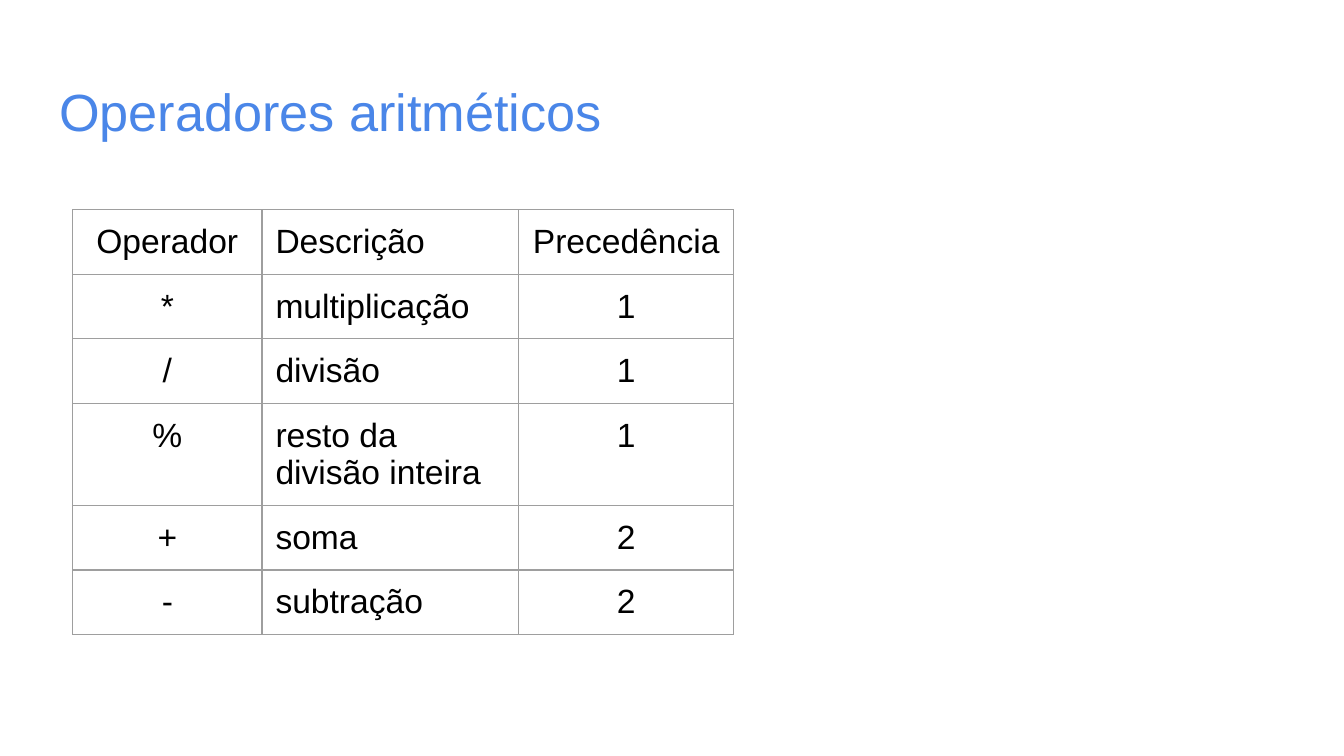
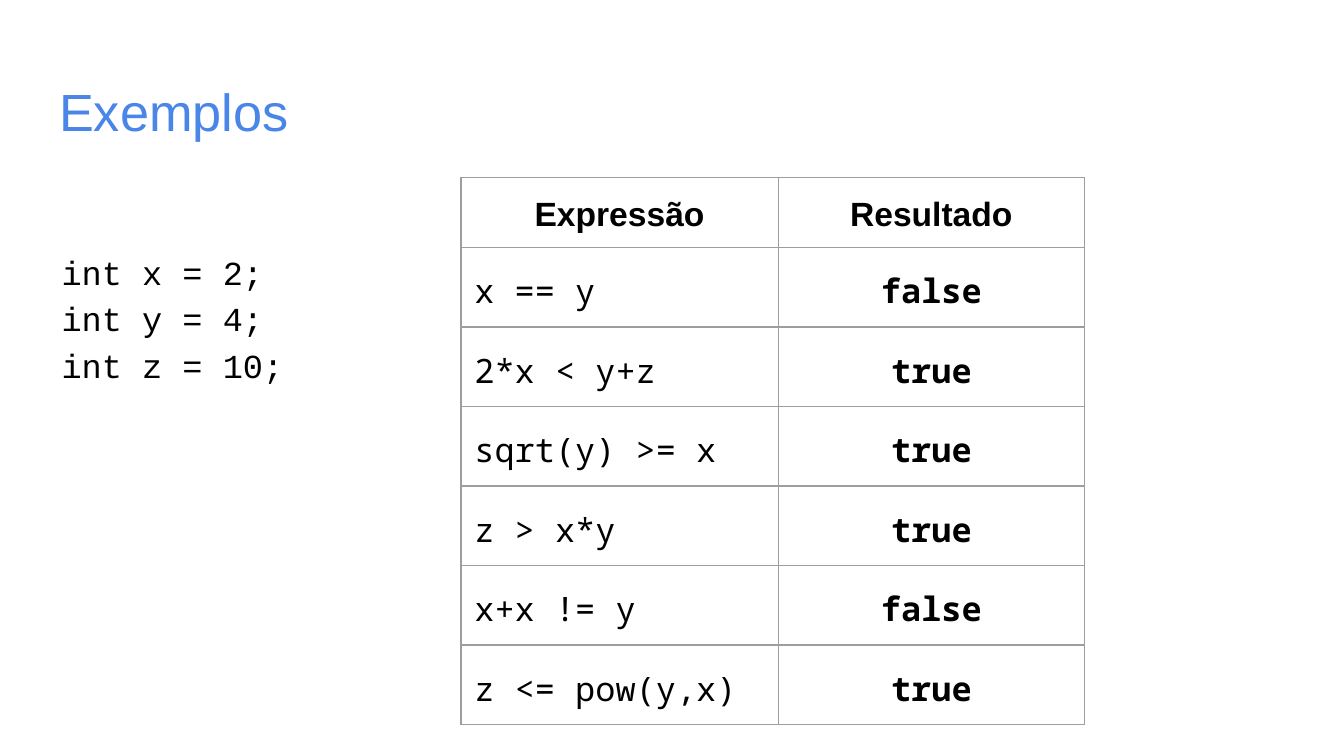
from lxml import etree
from pptx import Presentation
from pptx.dml.color import RGBColor
from pptx.enum.text import MSO_ANCHOR, MSO_AUTO_SIZE, PP_ALIGN
from pptx.oxml.ns import qn
from pptx.util import Inches, Pt

# Shared style; the grid unit is a tenth of an inch
UNIT = Inches(0.1)
COLS, ROWS = 100, 56.25
BLUE, BLACK, GREY = "4A86E8", "000000", "9E9E9E"
SANS, CODE, MONO = "Arial", "Courier New", "Noto Sans Mono"
LEFT, CENTER = PP_ALIGN.LEFT, PP_ALIGN.CENTER


def grid(*units):
    return [round(u * UNIT) for u in units]


def color(hex_text):
    return RGBColor.from_string(hex_text)


def write(p, text, font=SANS, size=18, fill=BLACK, bold=False, align=LEFT, spacing=1.0):
    p.alignment, p.line_spacing = align, spacing
    r = p.add_run()
    r.text = text
    r.font.name, r.font.size, r.font.bold = font, Pt(size), bold
    r.font.color.rgb = color(fill)


def set_borders(cell):
    tcPr = cell._tc.get_or_add_tcPr()
    for i, side in enumerate(("lnL", "lnR", "lnT", "lnB")):
        ln = etree.Element(qn("a:" + side), w=str(Pt(0.75)))
        fill = etree.SubElement(ln, qn("a:solidFill"))
        etree.SubElement(fill, qn("a:srgbClr"), val=GREY)
        tcPr.insert(i, ln)


class Deck:
    def __init__(self):
        self.prs = Presentation()
        self.prs.slide_width, self.prs.slide_height = grid(COLS, ROWS)
        self.s = None

    def frame(self, tf):
        tf.word_wrap = True
        tf.auto_size = MSO_AUTO_SIZE.NONE
        tf.vertical_anchor = MSO_ANCHOR.TOP
        tf.margin_left = tf.margin_right = tf.margin_top = tf.margin_bottom = UNIT
        return tf

    def slide(self, title):
        self.s = self.prs.slides.add_slide(self.prs.slide_layouts[5])
        sp = self.s.shapes.title
        sp.left, sp.top, sp.width, sp.height = grid(3.4, 4.9, 93.2, 6.3)
        write(self.frame(sp.text_frame).paragraphs[0], title, size=28, fill=BLUE)

    def code(self, lines, *box):
        tf = self.frame(self.s.shapes.add_textbox(*grid(*box)).text_frame)
        for i, line in enumerate(lines):
            p = tf.add_paragraph() if i else tf.paragraphs[0]
            write(p, line, font=CODE, spacing=1.15)

    def table(self, rows, left, top, widths, look):
        """look(row, column) gives the text format of a cell."""
        box = grid(left, top, sum(widths), 4.2 * len(rows))
        table = self.s.shapes.add_table(len(rows), len(widths), *box).table
        table.first_row = table.horz_banding = False
        for column, width in zip(table.columns, grid(*widths)):
            column.width = width
        for i, row in enumerate(rows):
            for j, text in enumerate(row):
                cell = table.cell(i, j)
                cell.margin_left = cell.margin_right = UNIT
                cell.margin_top = cell.margin_bottom = UNIT
                cell.fill.background()
                set_borders(cell)
                write(cell.text_frame.paragraphs[0], text, **look(i, j))


def operator_look(i, j):
    return dict(align=LEFT if j == 1 else CENTER)


def example_look(i, j):
    strong = i == 0 or j == 1
    return dict(font=MONO if i else SANS, bold=strong,
                align=CENTER if strong else LEFT, spacing=1.15)


deck = Deck()

# Slide 1: arithmetic operators
deck.slide("Operadores aritméticos")
deck.table([
    ("Operador", "Descrição", "Precedência"),
    ("*", "multiplicação", "1"),
    ("/", "divisão", "1"),
    ("%", "resto da divisão inteira", "1"),
    ("+", "soma", "2"),
    ("-", "subtração", "2"),
], 5.4, 15.6, (14.1, 19.1, 16), operator_look)

# Slide 2: examples
deck.slide("Exemplos")
deck.code(["int x = 2;", "int y = 4;", "int z = 10;"], 3.6, 17.3, 24.4, 16.7)
deck.table([
    ("Expressão", "Resultado"),
    ("x == y", "false"),
    ("2*x < y+z", "true"),
    ("sqrt(y) >= x", "true"),
    ("z > x*y", "true"),
    ("x+x != y", "false"),
    ("z <= pow(y,x)", "true"),
], 34.3, 13.2, (23.6, 22.8), example_look)

deck.prs.save("out.pptx")
